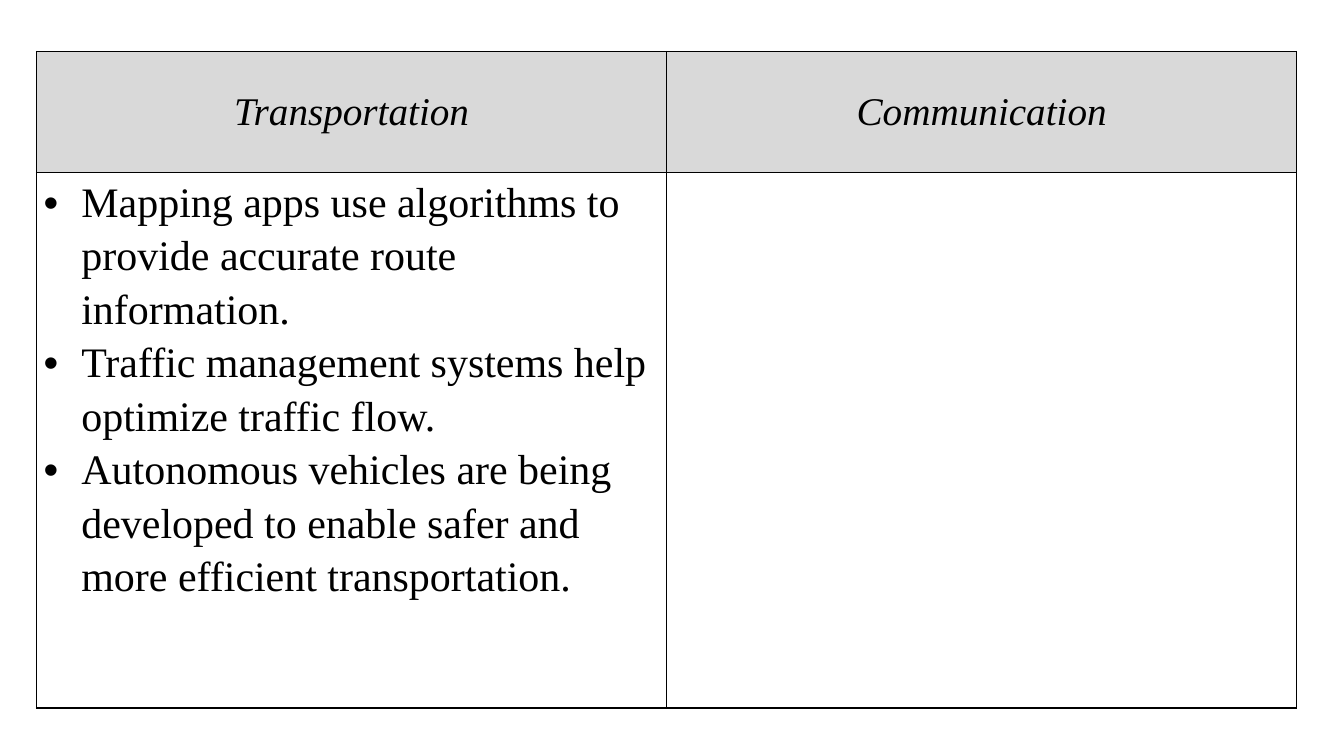
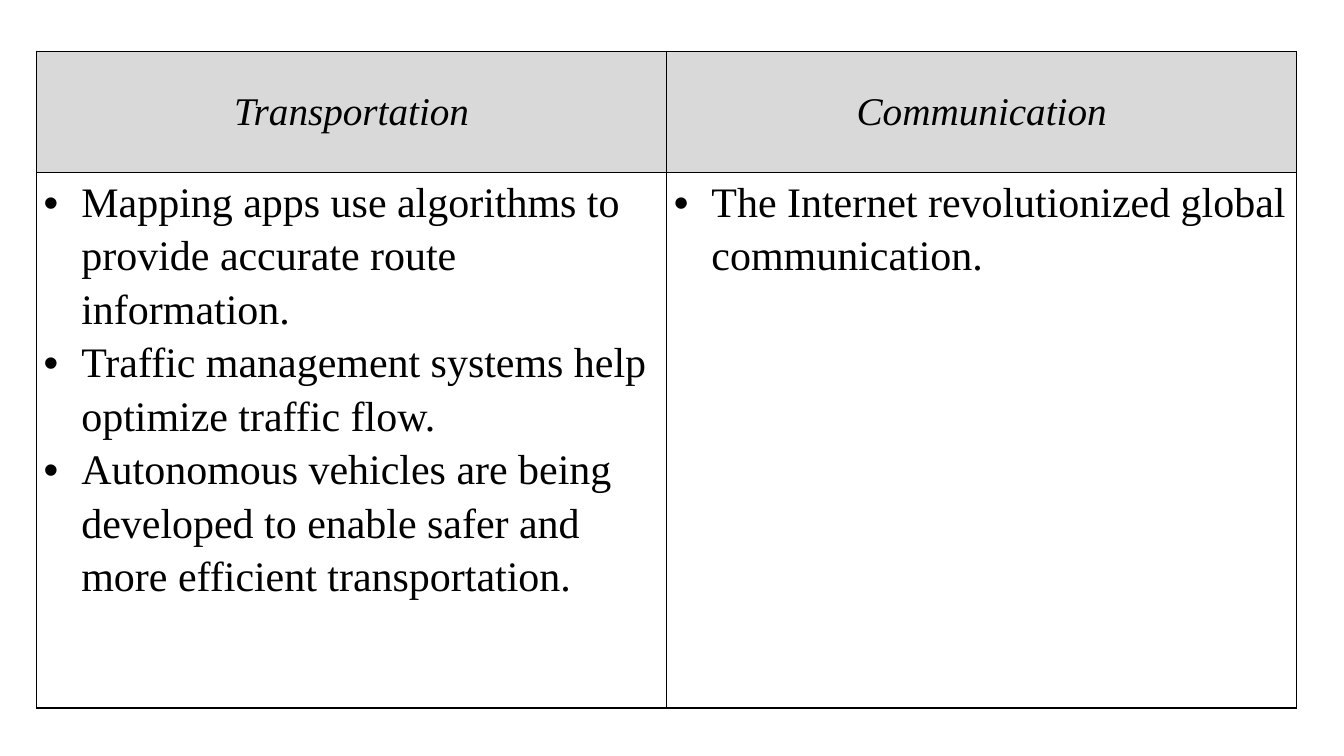
"""Build two slides comparing uses of computing in transportation and communication."""
from lxml import etree
from pptx import Presentation
from pptx.dml.color import RGBColor
from pptx.enum.text import MSO_ANCHOR, PP_ALIGN
from pptx.oxml.ns import qn
from pptx.util import Cm, Pt

MIDDLE, TOP = MSO_ANCHOR.MIDDLE, MSO_ANCHOR.TOP
CENTER, LEFT = PP_ALIGN.CENTER, PP_ALIGN.LEFT

COLORS = {"text": "000000", "border": "000000", "header": "D9D9D9", "body": "FFFFFF"}
FONT = "Times New Roman"
HEADER = {
    "fill": "header",
    "bullet": False,
    "cell": {"vertical_anchor": MIDDLE},
    "paragraph": {"alignment": CENTER},
    "font": {"size": Pt(28), "italic": True},
}
BODY = {
    "fill": "body",
    "bullet": True,
    "cell": {"vertical_anchor": TOP},
    "paragraph": {"alignment": LEFT, "line_spacing": 1.15},
    "font": {"size": Pt(30), "italic": False},
}
MARGINS = {
    "margin_left": Cm(0.18),
    "margin_right": Cm(0.18),
    "margin_top": 0,
    "margin_bottom": 0,
}

HEADINGS = ["Transportation", "Communication"]
TRANSPORTATION = [
    "Mapping apps use algorithms to provide accurate route information.",
    "Traffic management systems help optimize traffic flow.",
    "Autonomous vehicles are being developed to enable safer and more efficient transportation.",
]
COMMUNICATION = ["The Internet revolutionized global communication."]


def apply(obj, values):
    for name, value in values.items():
        setattr(obj, name, value)


class Deck:
    def __init__(self):
        self.prs = Presentation()
        self.prs.slide_width, self.prs.slide_height = Cm(33.87), Cm(19.05)
        self.s = None

    def slide(self):
        self.s = self.prs.slides.add_slide(self.prs.slide_layouts[6])

    def borders(self, cell):
        tcPr = cell._tc.get_or_add_tcPr()
        for side in ("lnL", "lnR", "lnT", "lnB"):
            ln = etree.SubElement(tcPr, qn(f"a:{side}"), w=str(Pt(1)))
            fill = etree.SubElement(ln, qn("a:solidFill"))
            etree.SubElement(fill, qn("a:srgbClr"), val=COLORS["border"])

    def bullet(self, p):
        pPr = p._p.get_or_add_pPr()
        pPr.set("marL", str(Cm(0.95)))
        pPr.set("indent", str(-Cm(0.95)))
        etree.SubElement(pPr, qn("a:buFont"), typeface="Arial")
        etree.SubElement(pPr, qn("a:buChar"), char="•")

    def cell(self, cell, lines, style):
        self.borders(cell)
        cell.fill.solid()
        cell.fill.fore_color.rgb = RGBColor.from_string(COLORS[style["fill"]])
        apply(cell, {**MARGINS, **style["cell"]})
        tf = cell.text_frame
        for i, line in enumerate(lines):
            p = tf.add_paragraph() if i else tf.paragraphs[0]
            if style["bullet"]:
                self.bullet(p)
            apply(p, style["paragraph"])
            r = p.add_run()
            r.text = line
            apply(r.font, {"name": FONT, **style["font"]})
            r.font.color.rgb = RGBColor.from_string(COLORS["text"])

    def table(self, headings, columns):
        widths, heights = [Cm(15.88)] * len(headings), [Cm(3.05), Cm(13.49)]
        frame = self.s.shapes.add_table(
            len(heights), len(widths), Cm(0.92), Cm(1.3), sum(widths), sum(heights))
        tbl = frame.table
        for row, height in zip(tbl.rows, heights):
            row.height = height
        for c, (heading, lines) in enumerate(zip(headings, columns)):
            tbl.columns[c].width = widths[c]
            self.cell(tbl.cell(0, c), [heading], HEADER)
            self.cell(tbl.cell(1, c), lines, BODY)


def main():
    deck = Deck()
    for communication in ([], COMMUNICATION):
        deck.slide()
        deck.table(HEADINGS, [TRANSPORTATION, communication])
    deck.prs.save("out.pptx")


if __name__ == "__main__":
    main()
